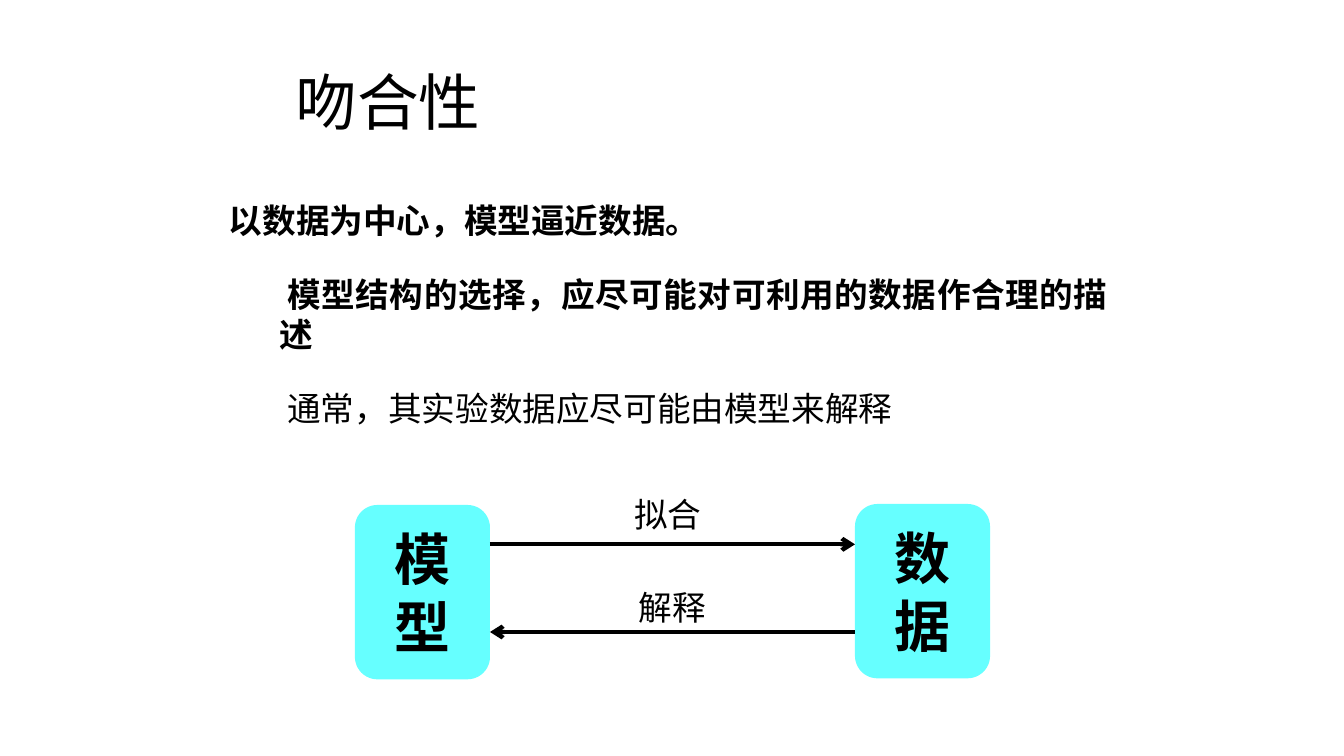
from lxml import etree
from pptx import Presentation
from pptx.dml.color import RGBColor
from pptx.enum.shapes import MSO_CONNECTOR, MSO_SHAPE
from pptx.enum.text import MSO_ANCHOR, MSO_AUTO_SIZE, PP_ALIGN
from pptx.oxml.ns import qn
from pptx.util import Inches, Pt

FONT = "Noto Sans CJK SC"
BLACK, CYAN = "000000", "66FFFF"
ROUNDED, STRAIGHT = MSO_SHAPE.ROUNDED_RECTANGLE, MSO_CONNECTOR.STRAIGHT
MIDDLE, FIT_SHAPE = MSO_ANCHOR.MIDDLE, MSO_AUTO_SIZE.SHAPE_TO_FIT_TEXT
LEFT, CENTER, JUSTIFY = PP_ALIGN.LEFT, PP_ALIGN.CENTER, PP_ALIGN.JUSTIFY

MODEL_LEFT, DATA_LEFT, NODE_WIDTH, NODE_HEIGHT = 3.52, 8.48, 1.34, 1.73
MODEL_RIGHT = MODEL_LEFT + NODE_WIDTH

STATEMENTS = [
    ("以数据为中心，模型逼近数据。", 0, True),
    ("模型结构的选择，应尽可能对可利用的数据作合理的描述", 1, True),
    ("通常，其实验数据应尽可能由模型来解释", 1, False),
]


def rgb(color):
    return RGBColor.from_string(color)


def format_paragraph(paragraph, size, align, bold=False):
    paragraph.alignment = align
    font = paragraph.font
    font.size, font.bold, font.name = Pt(size), bold, FONT
    font.color.rgb = rgb(BLACK)
    east_asian = etree.SubElement(font._element, qn("a:ea"))
    east_asian.set("typeface", FONT)


def place(shape, left, top, width, height):
    shape.left, shape.top = Inches(left), Inches(top)
    shape.width, shape.height = Inches(width), Inches(height)


def fill_title(title):
    place(title, 2.83, 0.55, 7.75, 1)
    title.text_frame.text = "吻合性"
    title.text_frame.vertical_anchor = MIDDLE
    heading = title.text_frame.paragraphs[0]
    heading.line_spacing = 0.9
    format_paragraph(heading, 44, LEFT)


def fill_statements(body):
    place(body, 2.17, 1.93, 8.92, 2.39)
    frame = body.text_frame
    frame.auto_size = FIT_SHAPE
    for index, (text, level, bold) in enumerate(STATEMENTS):
        paragraph = frame.add_paragraph() if index else frame.paragraphs[0]
        paragraph.text, paragraph.level = text, level
        paragraph.space_before = Pt(24 if index else 0)
        properties = paragraph._p.get_or_add_pPr()
        properties.set("marL", str(Inches(0.5 * level)))
        properties.set("indent", str(Inches(0.08 * level)))
        etree.SubElement(properties, qn("a:buNone"))
        format_paragraph(paragraph, 24, JUSTIFY, bold)


def add_node(slide, text, left, top):
    node = slide.shapes.add_shape(ROUNDED, Inches(left), Inches(top),
                                  Inches(NODE_WIDTH), Inches(NODE_HEIGHT))
    node.shadow.inherit = False
    node.fill.solid()
    node.fill.fore_color.rgb = rgb(CYAN)
    node.line.fill.background()
    node.text_frame.text = text
    node.text_frame.word_wrap = True
    node.text_frame.vertical_anchor = MIDDLE
    format_paragraph(node.text_frame.paragraphs[0], 40, CENTER, True)


def add_arrow(slide, start, end, y):
    arrow = slide.shapes.add_connector(STRAIGHT, Inches(start), Inches(y),
                                       Inches(end), Inches(y))
    arrow.line.color.rgb = rgb(BLACK)
    arrow.line.width = Pt(3)
    tip = etree.SubElement(arrow.line._get_or_add_ln(), qn("a:tailEnd"))
    tip.set("type", "arrow")
    etree.SubElement(arrow._element.spPr, qn("a:effectLst"))


def add_label(slide, text, left, top):
    label = slide.shapes.add_textbox(Inches(left), Inches(top),
                                     Inches(3.39), Inches(0.5))
    frame = label.text_frame
    frame.text = text
    frame.word_wrap = True
    frame.auto_size = FIT_SHAPE
    format_paragraph(frame.paragraphs[0], 24, CENTER)


def main():
    deck = Presentation()
    deck.slide_width, deck.slide_height = Inches(13.33), Inches(7.5)
    slide = deck.slides.add_slide(deck.slide_layouts[1])
    fill_title(slide.shapes.title)
    fill_statements(slide.placeholders[1])
    add_node(slide, "模型", MODEL_LEFT, 5.01)
    add_node(slide, "数据", DATA_LEFT, 5)
    add_arrow(slide, MODEL_RIGHT, DATA_LEFT, 5.4)
    add_label(slide, "拟合", 4.93, 4.85)
    add_arrow(slide, DATA_LEFT, MODEL_RIGHT, 6.27)
    add_label(slide, "解释", 4.97, 5.77)
    deck.save("out.pptx")


if __name__ == "__main__":
    main()
